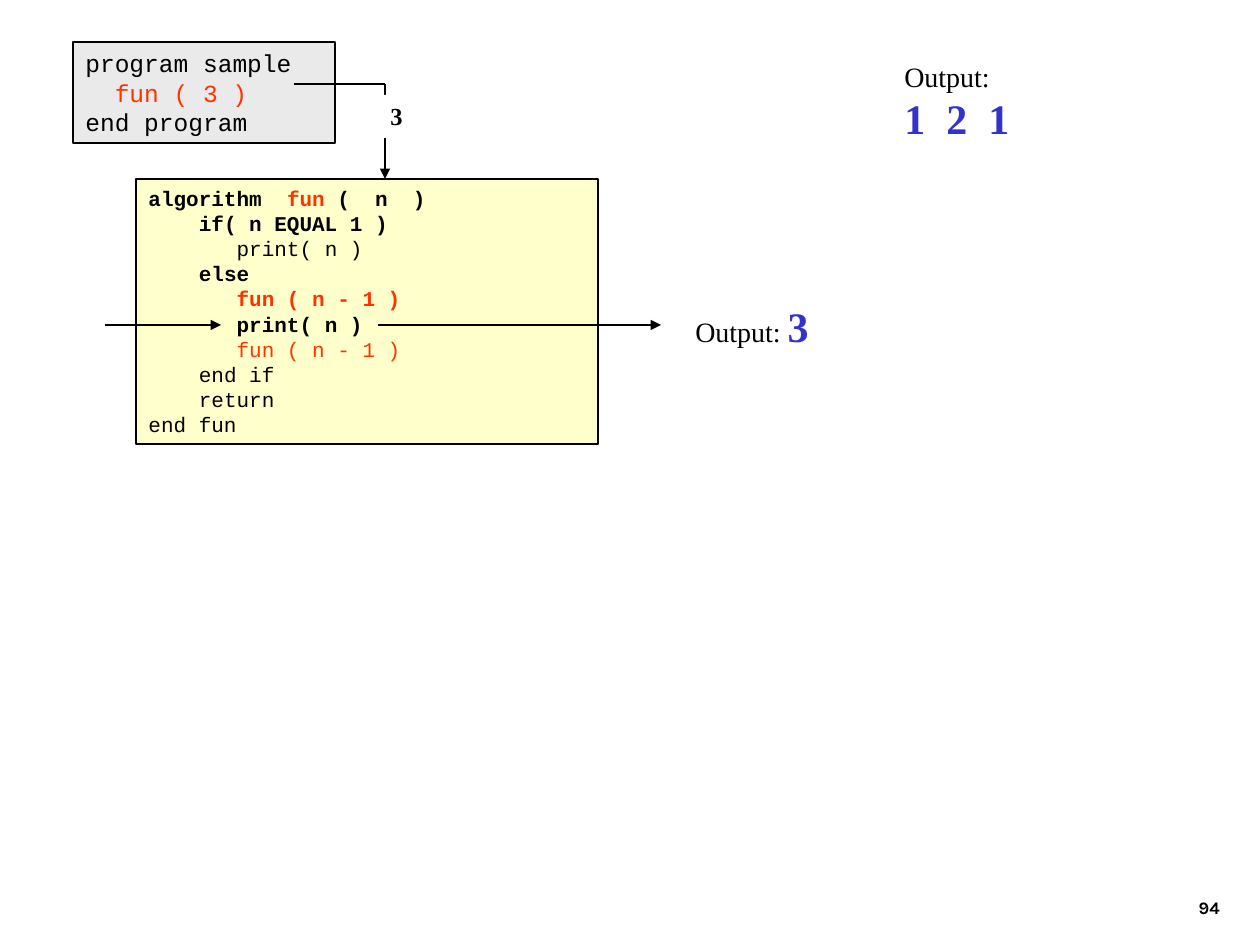
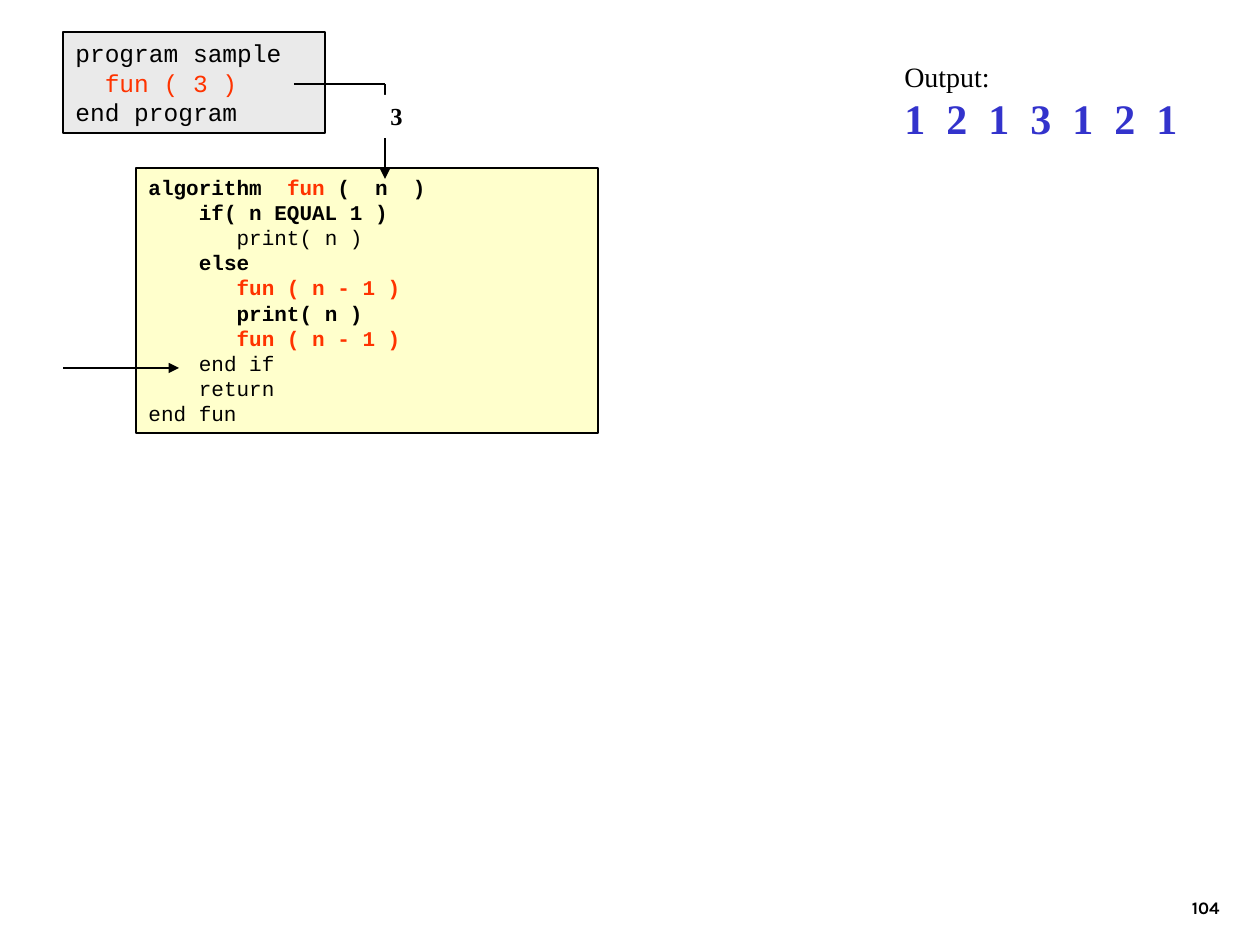
import pptx
import pptx.dml.color
import pptx.enum.shapes
import pptx.enum.text
import pptx.oxml.ns
import pptx.util
from lxml import etree

PX = 914400 / 126
BLACK, RED, BLUE = "000000", "FF3300", "3333CC"
WHITE, GREY, CREAM = "FFFFFF", "EAEAEA", "FFFFCC"
CODE, SERIF, NUMBER = "Courier New", "Times New Roman", "Karla"
CODE_CHAR = 0.6  # width of a monospaced character, in ems
INSET_X, INSET_Y = 0.1, 0.05
ALIGN = pptx.enum.text.PP_ALIGN
ANCHOR = pptx.enum.text.MSO_ANCHOR


def emu(px):
    return pptx.util.Emu(round(px * PX))


def rgb(color):
    return pptx.dml.color.RGBColor.from_string(color)


def write(tf, lines, font, anchor=ANCHOR.TOP, align=ALIGN.LEFT, wrap=True):
    """Fill a frame with lines of (indent in points, [(text, size, color, bold)])."""
    tf.word_wrap = wrap
    tf.vertical_anchor = anchor
    tf.margin_left = tf.margin_right = pptx.util.Inches(INSET_X)
    tf.margin_top = tf.margin_bottom = pptx.util.Inches(INSET_Y)
    for i, (indent, runs) in enumerate(lines):
        p = tf.add_paragraph() if i else tf.paragraphs[0]
        p.alignment = align
        if indent:
            p._p.get_or_add_pPr().set("marL", str(pptx.util.Pt(indent)))
        for text, size, color, bold in runs:
            r = p.add_run()
            r.text = text
            r.font.name = font
            r.font.size = pptx.util.Pt(size)
            r.font.bold = bold
            r.font.color.rgb = rgb(color)


def add_text(shapes, box, lines, font, **layout):
    sp = shapes.add_textbox(*map(emu, box))
    write(sp.text_frame, lines, font, **layout)


def add_panel(shapes, box, fill, lines, font, outlined=True, **layout):
    kind = pptx.enum.shapes.MSO_SHAPE.RECTANGLE
    sp = shapes.add_shape(kind, *map(emu, box))
    sp.shadow.inherit = False
    sp.fill.solid()
    sp.fill.fore_color.rgb = rgb(fill)
    if outlined:
        sp.line.color.rgb = rgb(BLACK)
        sp.line.width = pptx.util.Pt(0.75)
    else:
        sp.line.fill.background()
    write(sp.text_frame, lines, font, **layout)


def add_line(shapes, x1, y1, x2, y2, arrow=True):
    kind = pptx.enum.shapes.MSO_CONNECTOR.STRAIGHT
    line = shapes.add_connector(kind, *map(emu, (x1, y1, x2, y2)))
    line.line.color.rgb = rgb(BLACK)
    line.line.width = pptx.util.Pt(0.75)
    qn = pptx.oxml.ns.qn
    if arrow:
        ln = line.line._get_or_add_ln()
        etree.SubElement(ln, qn("a:tailEnd"), type="triangle")
    etree.SubElement(line._element.spPr, qn("a:effectLst"))


def code_line(size, indent, *parts):
    """Indent is in characters; each part is (text, color, bold)."""
    return (indent * CODE_CHAR * size,
            [(text, size, color, bold) for text, color, bold in parts])


def add_program(s, x, y):
    lines = [
        code_line(14, 0, ("program sample", BLACK, False)),
        code_line(14, 2, ("fun ( 3 )", RED, False)),
        code_line(14, 0, ("end program", BLACK, False)),
    ]
    add_panel(s.shapes, (x, y, 262, 101), GREY, lines, CODE)


def add_algorithm(s, x, y, second_call_bold):
    lines = [
        (0, ("algorithm  ", BLACK, True), ("fun ", RED, True), ("(  n  )", BLACK, True)),
        (4, ("if( n EQUAL 1 )", BLACK, True)),
        (7, ("print( n )", BLACK, False)),
        (4, ("else", BLACK, True)),
        (7, ("fun ( n - 1 )", RED, True)),
        (7, ("print( n )", BLACK, True)),
        (7, ("fun ( n - 1 )", RED, second_call_bold)),
        (4, ("end if", BLACK, False)),
        (4, ("return", BLACK, False)),
        (0, ("end fun", BLACK, False)),
    ]
    add_panel(s.shapes, (x, y, 462, 265), CREAM,
              [code_line(12, *line) for line in lines], CODE)


def add_output(s, x, y, printed):
    lines = [(0, [("Output:", 16, BLACK, False)]),
             (0, [(printed, 24, BLUE, True)])]
    add_text(s.shapes, (x, y, 305, 97), lines, SERIF)


def add_step_pointer(s, x, y):
    add_line(s.shapes, x, y, x + 116, y)


def add_printed_value(s, x, y, value):
    add_line(s.shapes, x, y, x + 283, y)
    runs = [("Output: ", 16, BLACK, False), (value, 24, BLUE, True)]
    add_text(s.shapes, (x + 305, y - 31, 139, 63), [(0, runs)], SERIF, wrap=False)


def add_argument_link(s, x, y, value):
    """Bent arrow from the program call to the algorithm, labelled with the argument."""
    shapes = s.shapes.add_group_shape().shapes
    bend = x + 91
    add_line(shapes, x, y, bend, y, arrow=False)
    add_line(shapes, bend, y, bend, y + 95)
    add_panel(shapes, (bend - 19, y + 11, 49, 43), WHITE,
              [(0, [(value, 14, BLACK, True)])], SERIF,
              outlined=False, align=ALIGN.RIGHT)


def add_page_number(s, number):
    add_text(s.shapes, (970, 861, 262, 63), [(0, [(number, 10, BLACK, True)])],
             NUMBER, anchor=ANCHOR.BOTTOM, align=ALIGN.RIGHT)


def add_trace_slide(prs, number, program_at, algorithm_at, second_call_bold,
                    printed, pointer_at, printing=None):
    s = prs.slides.add_slide(prs.slide_layouts[6])
    add_page_number(s, number)
    add_algorithm(s, *algorithm_at, second_call_bold)
    add_program(s, *program_at)
    add_output(s, 892, 53, printed)
    add_step_pointer(s, *pointer_at)
    if printing:
        add_printed_value(s, 378, pointer_at[1], printing)
    add_argument_link(s, 294, 84, "3")


def main():
    prs = pptx.Presentation()
    prs.slide_width, prs.slide_height = emu(1260), emu(945)
    add_trace_slide(prs, "94", (73, 42), (136, 179), False,
                    "1  2  1", (105, 325), printing="3")
    add_trace_slide(prs, "104", (63, 32), (136, 168), True,
                    "1  2  1  3  1  2  1", (63, 368))
    prs.save("out.pptx")


if __name__ == "__main__":
    main()
